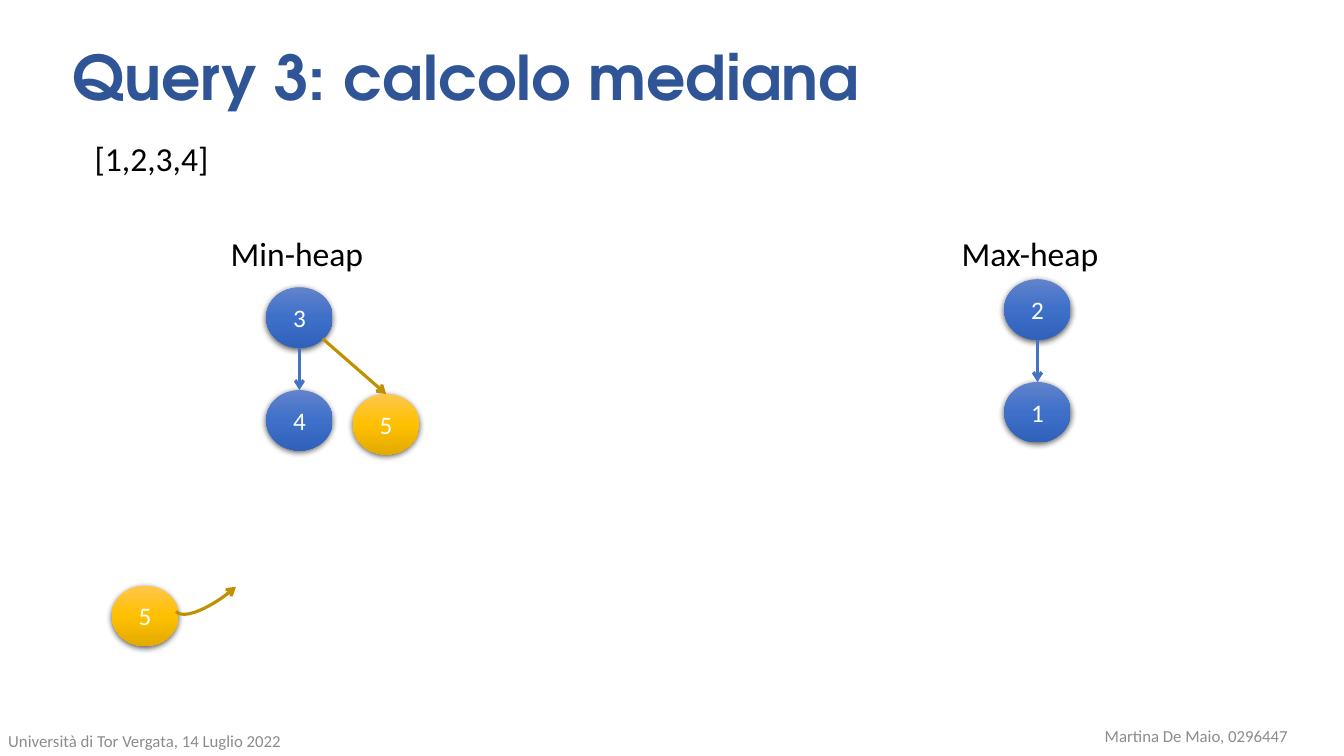
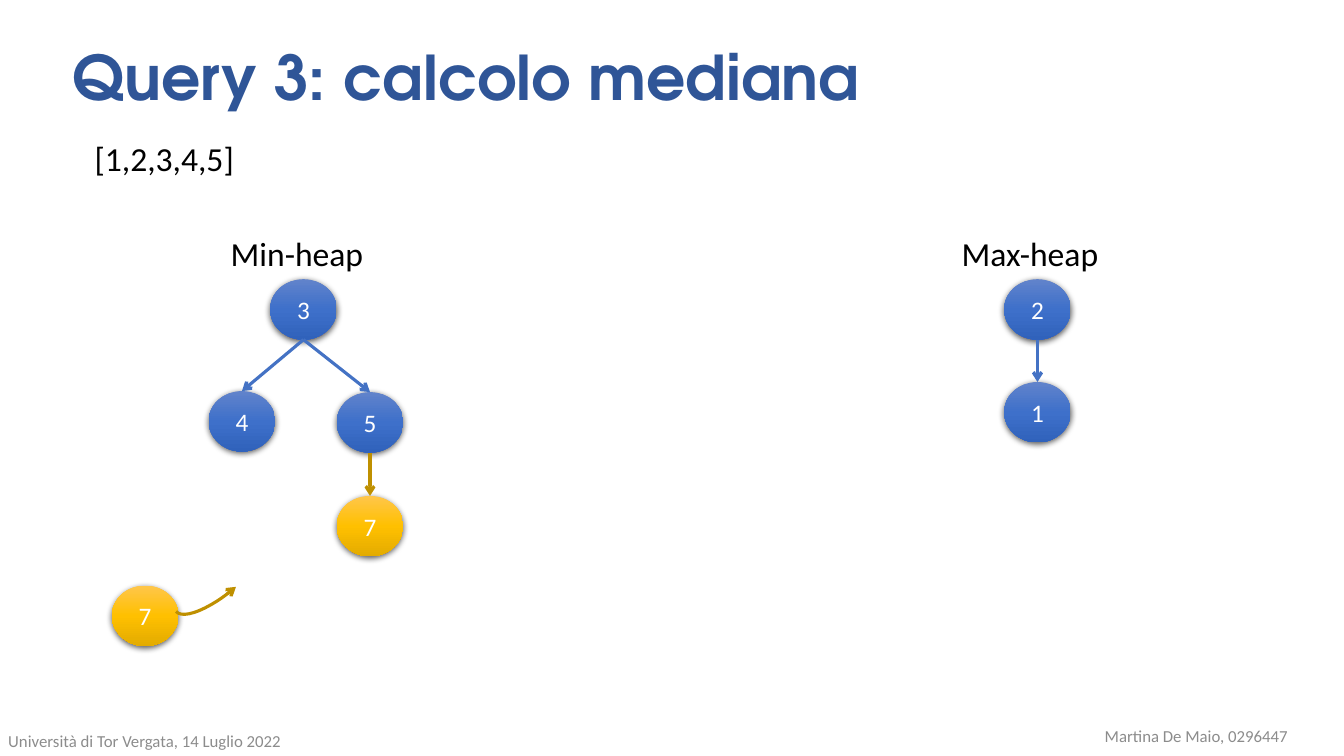
import math
from pptx import Presentation
from pptx import util as u
from pptx.dml.color import RGBColor
from pptx.enum import shapes, text
from pptx.oxml import parse_xml
from pptx.oxml.ns import nsdecls

PX = 9144
SLIDE_W, SLIDE_H = 1333, 750
NODE_W, NODE_H = 66, 60

TITLE_FONT, BODY_FONT = "TeX Gyre Adventor", "Calibri"
NAVY = RGBColor(0x2F, 0x55, 0x97)
GREY = RGBColor(0x8C, 0x8C, 0x8C)
BLACK = RGBColor(0, 0, 0)
WHITE = RGBColor(255, 255, 255)
BLUE_LINE = RGBColor(0x44, 0x72, 0xC4)
GOLD_LINE = RGBColor(0xBF, 0x90, 0x00)
BLUE_STOPS = [RGBColor(0x61, 0x83, 0xCB), RGBColor(0x3E, 0x70, 0xCA), RGBColor(0x30, 0x62, 0xBB)]
GOLD_STOPS = [RGBColor(0xFF, 0xC6, 0x4B), RGBColor(0xFF, 0xC0, 0x00), RGBColor(0xE3, 0xAB, 0x00)]

TITLE = ("Query 3: calcolo mediana", (62, 7, 1150, 145))
FOOTERS = [
    ("Martina De Maio, 0296447", (1029, 710, 315, 40)),
    ("Università di Tor Vergata, 14 Luglio 2022", (-14, 715, 315, 40)),
]
HEAP_LABELS = [
    ("Min-heap", (219, 226, 164, 50)),
    ("Max-heap", (944, 226, 170, 50)),
]
SEQUENCE_BOX = (84, 132, 679, 50)
INCOMING_AT = (111, 581)
INCOMING_ARC = (160, 547, 122, 40)
ARC_ROTATION = 139.5
MAX_HEAP = {"2": (996, 277), "1": (996, 379)}
MAX_EDGES = [("2", "1", "bottom")]

STEPS = [
    {
        "sequence": "[1,2,3,4]",
        "incoming": "5",
        "min_heap": {"3": (264, 285), "4": (264, 387), "5": (350, 391)},
        "min_edges": [("3", "4", "bottom"), ("3", "5", "corner")],
    },
    {
        "sequence": "[1,2,3,4,5]",
        "incoming": "7",
        "min_heap": {"3": (268, 277), "4": (207, 388), "5": (334, 389), "7": (334, 492)},
        "min_edges": [("3", "4", "bottom"), ("3", "5", "bottom"), ("5", "7", "bottom")],
    },
]


def emu(*lengths):
    return [u.Emu(length * PX) for length in lengths]


def write(frame, wording, size, color, font=BODY_FONT, bold=False, centred=False):
    frame.text = wording
    paragraph = frame.paragraphs[0]
    paragraph.alignment = text.PP_ALIGN.CENTER if centred else text.PP_ALIGN.LEFT
    face = paragraph.runs[0].font
    face.name, face.size, face.bold = font, u.Pt(size), bold
    face.color.rgb = color
    return paragraph


def add_label(slide, wording, box, size, color, middle=False, wrap=True, **style):
    frame = slide.shapes.add_textbox(*emu(*box)).text_frame
    frame.word_wrap = wrap
    frame.vertical_anchor = text.MSO_ANCHOR.MIDDLE if middle else text.MSO_ANCHOR.TOP
    return write(frame, wording, size, color, **style)


def style_arrow(line, color, end):
    line.color.rgb = color
    line.width = u.Pt(2.25)
    line._get_or_add_ln().append(parse_xml(f'<a:{end} {nsdecls("a")} type="arrow"/>'))


def add_node(slide, value, at, stops):
    node = slide.shapes.add_shape(shapes.MSO_SHAPE.OVAL, *emu(*at, NODE_W, NODE_H))
    properties = node._element.spPr
    gradient = "".join(
        f'<a:gs pos="{i * 50000}"><a:srgbClr val="{color}"/></a:gs>' for i, color in enumerate(stops)
    )
    properties.append(parse_xml(
        f'<a:gradFill {nsdecls("a")} rotWithShape="1"><a:gsLst>{gradient}</a:gsLst>'
        '<a:lin ang="5400000" scaled="0"/></a:gradFill>'
    ))
    node.line.fill.background()
    properties.append(parse_xml(
        f'<a:effectLst {nsdecls("a")}><a:outerShdw blurRad="{u.Pt(4.5)}" dist="{u.Pt(1.5)}" '
        'dir="5400000" algn="ctr" rotWithShape="0"><a:srgbClr val="000000">'
        '<a:alpha val="63000"/></a:srgbClr></a:outerShdw></a:effectLst>'
    ))
    node.text_frame.vertical_anchor = text.MSO_ANCHOR.MIDDLE
    write(node.text_frame, value, 18, WHITE, centred=True)


def leaving_point(at, side):
    angle = math.radians(90 if side == "bottom" else 45)
    return (
        round(at[0] + NODE_W / 2 * (1 + math.cos(angle))),
        round(at[1] + NODE_H / 2 * (1 + math.sin(angle))),
    )


def add_heap(slide, nodes, edges, newest=None):
    for value, at in nodes.items():
        add_node(slide, value, at, GOLD_STOPS if value == newest else BLUE_STOPS)
    for parent, child, side in edges:
        start = leaving_point(nodes[parent], side)
        left, top = nodes[child]
        edge = slide.shapes.add_connector(
            shapes.MSO_CONNECTOR.STRAIGHT, *emu(*start, left + NODE_W // 2, top)
        )
        style_arrow(edge.line, GOLD_LINE if child == newest else BLUE_LINE, "tailEnd")
        edge._element.spPr.append(parse_xml(f'<a:effectLst {nsdecls("a")}/>'))


def add_incoming(slide, value):
    add_node(slide, value, INCOMING_AT, GOLD_STOPS)
    arc = slide.shapes.add_shape(shapes.MSO_SHAPE.ARC, *emu(*INCOMING_ARC))
    arc.rotation = ARC_ROTATION
    arc.fill.background()
    style_arrow(arc.line, GOLD_LINE, "headEnd")
    arc.shadow.inherit = False


def add_frame(slide):
    title = add_label(slide, *TITLE, 44, NAVY, middle=True, font=TITLE_FONT, bold=True)
    title.line_spacing = 0.9
    for wording, box in FOOTERS:
        add_label(slide, wording, box, 12, GREY, middle=True, centred=True)
    for wording, box in HEAP_LABELS:
        add_label(slide, wording, box, 24, BLACK, wrap=False)


def main():
    deck = Presentation()
    deck.slide_width, deck.slide_height = emu(SLIDE_W, SLIDE_H)
    for step in STEPS:
        slide = deck.slides.add_slide(deck.slide_layouts[6])
        add_frame(slide)
        add_label(slide, step["sequence"], SEQUENCE_BOX, 24, BLACK)
        add_heap(slide, step["min_heap"], step["min_edges"], step["incoming"])
        add_heap(slide, MAX_HEAP, MAX_EDGES)
        add_incoming(slide, step["incoming"])
    deck.save("out.pptx")


if __name__ == "__main__":
    main()
